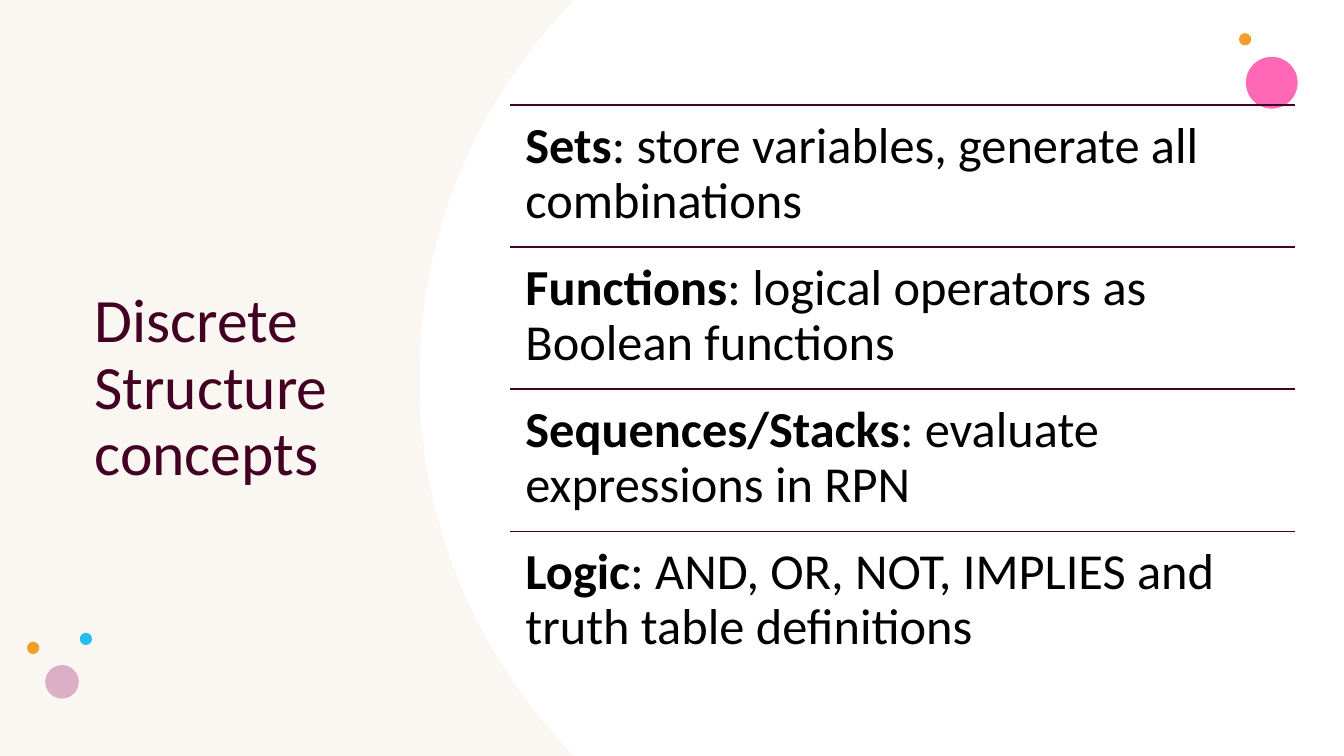
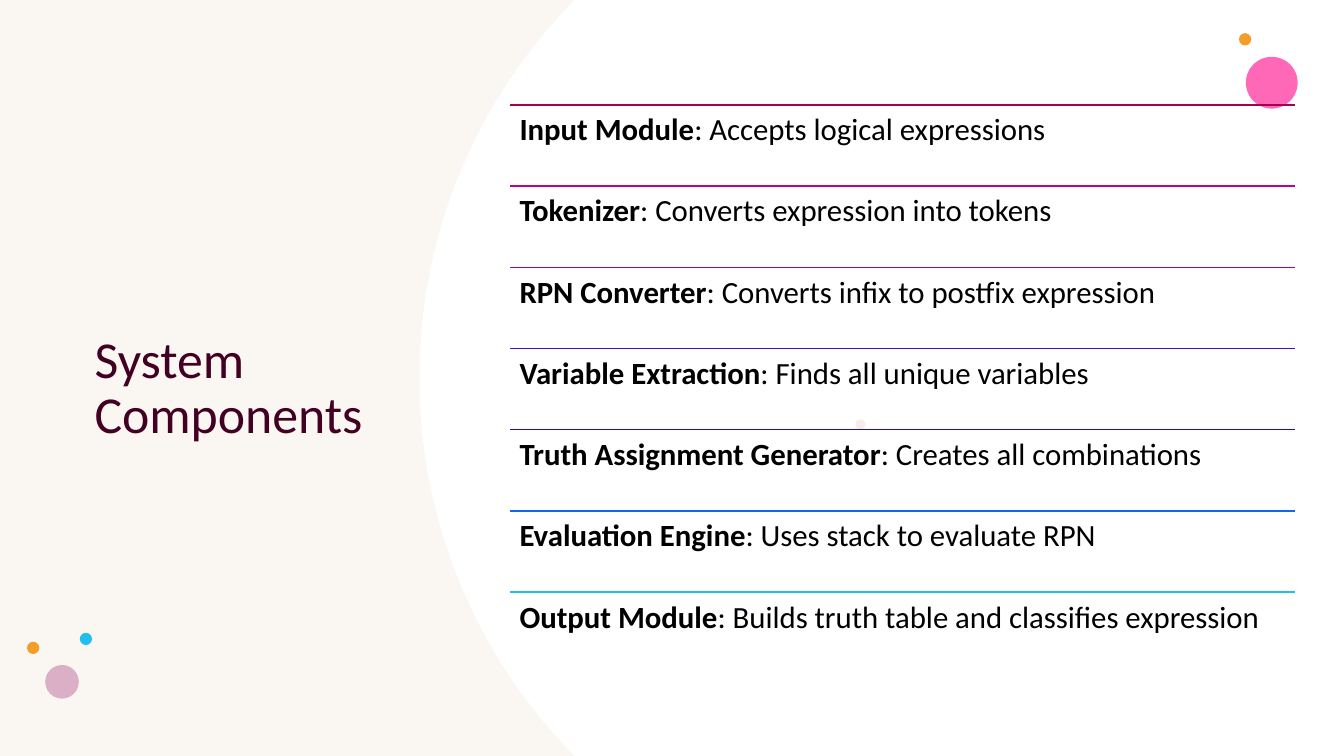
import math

import lxml.etree
import pptx
import pptx.dml.color
import pptx.enum.shapes
import pptx.enum.text
import pptx.oxml.ns
import pptx.util

Pt = pptx.util.Pt
RGBColor = pptx.dml.color.RGBColor
qn = pptx.oxml.ns.qn

# Shared style
FONT = "Calibri"
WIDTH, HEIGHT = 960, 540
CREAM = RGBColor(0xFA, 0xF6, 0xF2)
WHITE = RGBColor(0xFF, 0xFF, 0xFF)
BLACK = RGBColor(0x00, 0x00, 0x00)
PLUM = RGBColor(0x42, 0x00, 0x23)
PINK = RGBColor(0xFF, 0x2F, 0x9C)
ORANGE = RGBColor(0xF3, 0x9E, 0x29)
ROSE = RGBColor(0xE3, 0xBE, 0xBE)
SKY = RGBColor(0x24, 0xBE, 0xEE)
MAUVE = RGBColor(0xDB, 0xAF, 0xC5)
RAINBOW = [
    RGBColor(0xA4, 0x00, 0x56),
    RGBColor(0xB4, 0x02, 0xA2),
    RGBColor(0x90, 0x05, 0xC4),
    RGBColor(0x50, 0x08, 0xD3),
    RGBColor(0x0B, 0x0F, 0xE2),
    RGBColor(0x10, 0x67, 0xF0),
    SKY,
]

# White panel: its left edge is an arc of a large circle
ARC_LEFT, ARC_RADIUS, ARC_STEPS = 299.5, 384, 60

# Dots: left, top, diameter, colour, opacity in percent
DOTS = [
    (889.9, 40.6, 37, PINK, 72),
    (885, 23.7, 8.8, ORANGE, 100),
    (611, 299.5, 7.2, ROSE, 28),
    (57, 452, 8.8, SKY, 100),
    (32.3, 475, 24, MAUVE, 100),
    (19.3, 458.4, 8.8, ORANGE, 100),
]

# Content area, shared by title and list
TOP, AREA_HEIGHT = 75, 406
TITLE_LEFT, TITLE_WIDTH = 60.5, 225.5
LIST_LEFT, LIST_WIDTH = 364.5, 560.5

CONCEPTS = [
    ("Sets", "store variables, generate all combinations"),
    ("Functions", "logical operators as Boolean functions"),
    ("Sequences/Stacks", "evaluate expressions in RPN"),
    ("Logic", "AND, OR, NOT, IMPLIES and truth table definitions"),
]
COMPONENTS = [
    ("Input Module", "Accepts logical expressions"),
    ("Tokenizer", "Converts expression into tokens"),
    ("RPN Converter", "Converts infix to postfix expression"),
    ("Variable Extraction", "Finds all unique variables"),
    ("Truth Assignment Generator", "Creates all combinations"),
    ("Evaluation Engine", "Uses stack to evaluate RPN"),
    ("Output Module", "Builds truth table and classifies expression"),
]


def paint(shape, color):
    shape.fill.solid()
    shape.fill.fore_color.rgb = color
    shape.line.fill.background()
    shape.shadow.inherit = False


def add_panel(page):
    center_x, center_y = ARC_LEFT + ARC_RADIUS, HEIGHT / 2
    half_angle = math.asin(center_y / ARC_RADIUS)
    points = [(WIDTH, 0), (WIDTH, HEIGHT)]
    for step in range(ARC_STEPS + 1):
        angle = half_angle * (1 - 2 * step / ARC_STEPS)
        points.append((center_x - ARC_RADIUS * math.cos(angle),
                       center_y + ARC_RADIUS * math.sin(angle)))
    corners = [(Pt(x), Pt(y)) for x, y in points]
    builder = page.shapes.build_freeform(*corners[0])
    builder.add_line_segments(corners[1:], close=True)
    paint(builder.convert_to_shape(), WHITE)


def add_dot(page, left, top, diameter, color, opacity):
    dot = page.shapes.add_shape(pptx.enum.shapes.MSO_SHAPE.OVAL, Pt(left),
                                Pt(top), Pt(diameter), Pt(diameter))
    paint(dot, color)
    if opacity < 100:
        fill_color = dot._element.spPr.find(".//" + qn("a:srgbClr"))
        alpha = lxml.etree.SubElement(fill_color, qn("a:alpha"))
        alpha.set("val", str(opacity * 1000))


def add_text(page, left, top, width, height, spans, size, color):
    """Add a wrapped one-paragraph box; spans are (text, bold) pairs."""
    box = page.shapes.add_textbox(Pt(left), Pt(top), Pt(width), Pt(height))
    frame = box.text_frame
    frame.word_wrap = True
    para = frame.paragraphs[0]
    para.line_spacing = 0.9
    for text, bold in spans:
        span = para.add_run()
        span.text = text
        span.font.name = FONT
        span.font.size = Pt(size)
        span.font.bold = bold
        span.font.color.rgb = color
    return frame


def add_title(page, title, size):
    frame = add_text(page, TITLE_LEFT, TOP, TITLE_WIDTH, AREA_HEIGHT,
                     [(title, False)], size, PLUM)
    frame.vertical_anchor = pptx.enum.text.MSO_ANCHOR.MIDDLE


def add_rule(page, top, color):
    rule = page.shapes.add_connector(
        pptx.enum.shapes.MSO_CONNECTOR.STRAIGHT, Pt(LIST_LEFT), Pt(top),
        Pt(LIST_LEFT + LIST_WIDTH), Pt(top))
    rule.line.color.rgb = color
    rule.line.width = Pt(1)
    lxml.etree.SubElement(rule._element.spPr, qn("a:effectLst"))


def add_list(page, items, size, inset, colors):
    row_height = AREA_HEIGHT / len(items)
    for index, ((term, meaning), color) in enumerate(zip(items, colors)):
        top = TOP + index * row_height
        add_rule(page, top, color)
        frame = add_text(page, LIST_LEFT, top, LIST_WIDTH, row_height,
                         [(term, True), (": " + meaning, False)], size, BLACK)
        frame.margin_left = frame.margin_right = Pt(inset)
        frame.margin_top = frame.margin_bottom = Pt(inset)


def add_page(deck):
    page = deck.slides.add_slide(deck.slide_layouts[6])
    page.background.fill.solid()
    page.background.fill.fore_color.rgb = CREAM
    add_panel(page)
    for dot in DOTS:
        add_dot(page, *dot)
    return page


def main():
    deck = pptx.Presentation()
    deck.slide_width, deck.slide_height = Pt(WIDTH), Pt(HEIGHT)

    # Concepts
    page = add_page(deck)
    add_title(page, "Discrete Structure concepts", 44)
    add_list(page, CONCEPTS, 36, 10.8, [PLUM] * len(CONCEPTS))

    # Components
    page = add_page(deck)
    add_title(page, "System Components", 37)
    add_list(page, COMPONENTS, 22, 6.6, RAINBOW)

    deck.save("out.pptx")


if __name__ == "__main__":
    main()
